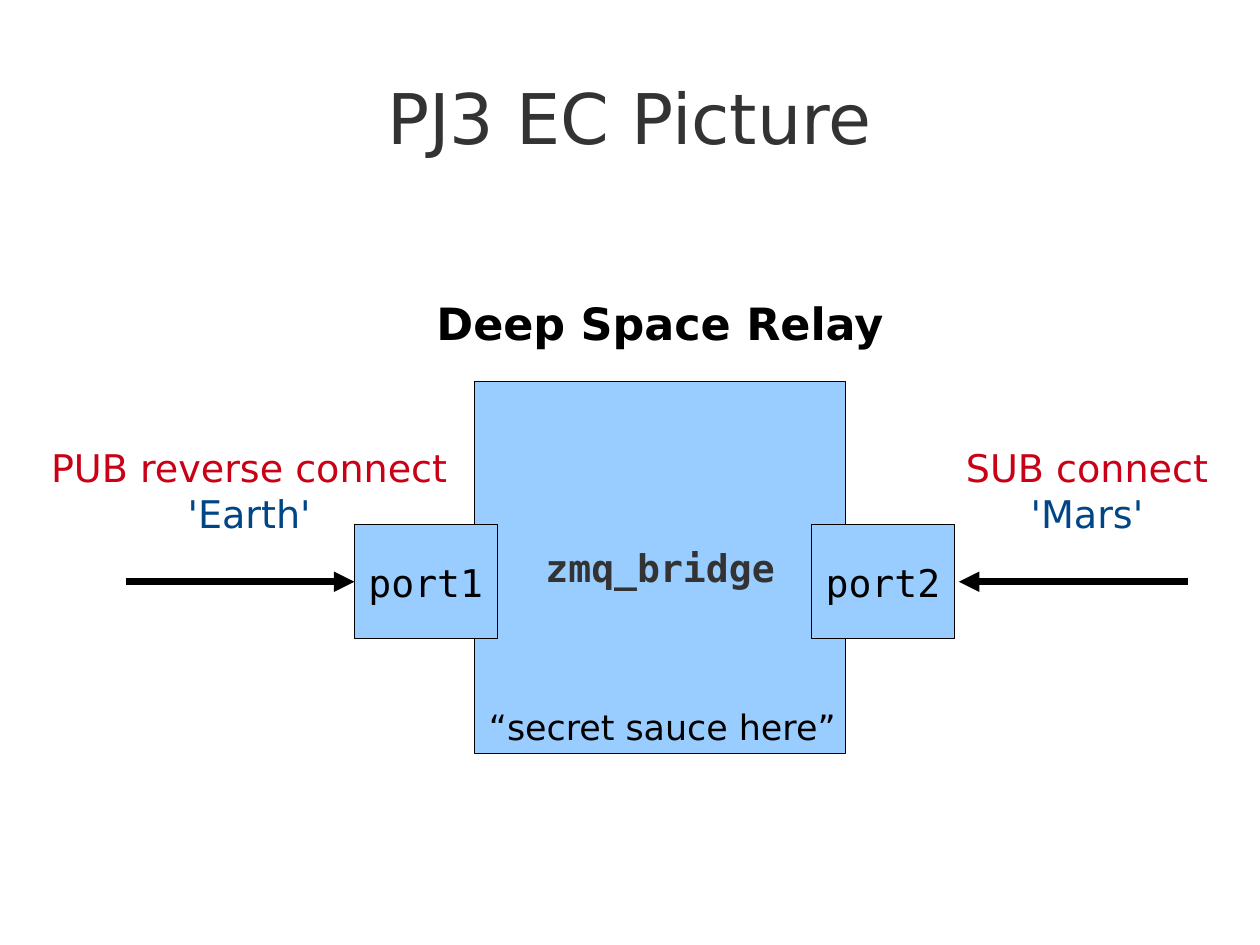
from dataclasses import dataclass

from lxml.etree import SubElement
from pptx import Presentation
from pptx.dml.color import RGBColor
from pptx.enum.shapes import MSO_CONNECTOR as Link, MSO_SHAPE as Form
from pptx.enum.text import (
    MSO_ANCHOR as Anchor, MSO_AUTO_SIZE as Fit, PP_ALIGN as Align)
from pptx.oxml.ns import qn
from pptx.shapes.base import BaseShape
from pptx.slide import Slide
from pptx.util import Inches, Pt

SANS, MONO = "DejaVu Sans", "DejaVu Sans Mono"
BLACK, GREY, RED, NAVY, SKY = "000000", "333333", "C90016", "004586", "99CCFF"
WIDE, HIGH = 28 / 2.54, 21 / 2.54
ARROW_Y = 5.09


@dataclass
class Line:
    text: str
    size: int = 24
    color: str = BLACK
    bold: bool = False
    font: str = SANS


@dataclass
class Item:
    left: float
    top: float
    width: float
    height: float
    lines: list[Line]
    align: Align = Align.CENTER


@dataclass
class Arrow:
    start: float
    end: float


TITLE = Item(0.55, 0.33, 9.92, 1.38, [Line("PJ3 EC Picture", 44, GREY)])
BOXES = [
    Item(4.15, 3.34, 3.25, 3.25, [Line("zmq_bridge", 24, GREY, True, MONO)]),
    Item(3.1, 4.59, 1.25, 1, [Line("port1", font=MONO)]),
    Item(7.1, 4.59, 1.25, 1, [Line("port2", font=MONO)]),
]
ARROWS = [Arrow(1.1, 3.1), Arrow(10.39, 8.39)]
LABELS = [
    Item(0.34, 3.84, 3.68, 0.88,
         [Line("PUB reverse connect", color=RED), Line("'Earth'", color=NAVY)]),
    Item(3.72, 2.54, 4.11, 0.55,
         [Line("Deep Space Relay", 28, bold=True)], Align.LEFT),
    Item(8.35, 3.84, 2.32, 0.88,
         [Line("SUB connect", color=RED), Line("'Mars'", color=NAVY)]),
    Item(4.18, 6.12, 3.23, 0.45,
         [Line("“secret sauce here”", 22)], Align.LEFT),
]


def rgb(color: str) -> RGBColor:
    return RGBColor.from_string(color)


def place(item: Item) -> list[Inches]:
    return [Inches(n) for n in (item.left, item.top, item.width, item.height)]


def write(shape: BaseShape, item: Item, anchor: Anchor, wrap: bool = False) -> None:
    frame = shape.text_frame
    frame.word_wrap = wrap
    frame.vertical_anchor = anchor
    for i, line in enumerate(item.lines):
        para = frame.add_paragraph() if i else frame.paragraphs[0]
        para.alignment = item.align
        run = para.add_run()
        run.text = line.text
        font = run.font
        font.name, font.size, font.bold = line.font, Pt(line.size), line.bold
        font.color.rgb = rgb(line.color)


def add_title(slide: Slide, item: Item) -> None:
    shape = slide.shapes.add_textbox(*place(item))
    write(shape, item, Anchor.MIDDLE, wrap=True)
    frame = shape.text_frame
    frame.margin_left = frame.margin_right = Inches(0)
    frame.margin_top = frame.margin_bottom = Inches(0)


def add_box(slide: Slide, item: Item) -> None:
    shape = slide.shapes.add_shape(Form.RECTANGLE, *place(item))
    shape.shadow.inherit = False
    shape.fill.solid()
    shape.fill.fore_color.rgb = rgb(SKY)
    shape.line.color.rgb = rgb(BLACK)
    shape.line.width = Pt(0)
    write(shape, item, Anchor.MIDDLE)


def add_arrow(slide: Slide, arrow: Arrow) -> None:
    y = Inches(ARROW_Y)
    link = slide.shapes.add_connector(
        Link.STRAIGHT, Inches(arrow.start), y, Inches(arrow.end), y)
    link.line.color.rgb = rgb(BLACK)
    link.line.width = Pt(4.31)
    props = link.element.spPr
    SubElement(props.find(qn("a:ln")), qn("a:tailEnd"), type="triangle")
    SubElement(props, qn("a:effectLst"))


def add_label(slide: Slide, item: Item) -> None:
    shape = slide.shapes.add_textbox(*place(item))
    write(shape, item, Anchor.TOP)
    shape.text_frame.auto_size = Fit.SHAPE_TO_FIT_TEXT


def main() -> None:
    deck = Presentation()
    deck.slide_width, deck.slide_height = Inches(WIDE), Inches(HIGH)
    slide = deck.slides.add_slide(deck.slide_layouts[6])
    add_title(slide, TITLE)
    for box in BOXES:
        add_box(slide, box)
    for arrow in ARROWS:
        add_arrow(slide, arrow)
    for label in LABELS:
        add_label(slide, label)
    deck.save("out.pptx")


if __name__ == "__main__":
    main()
